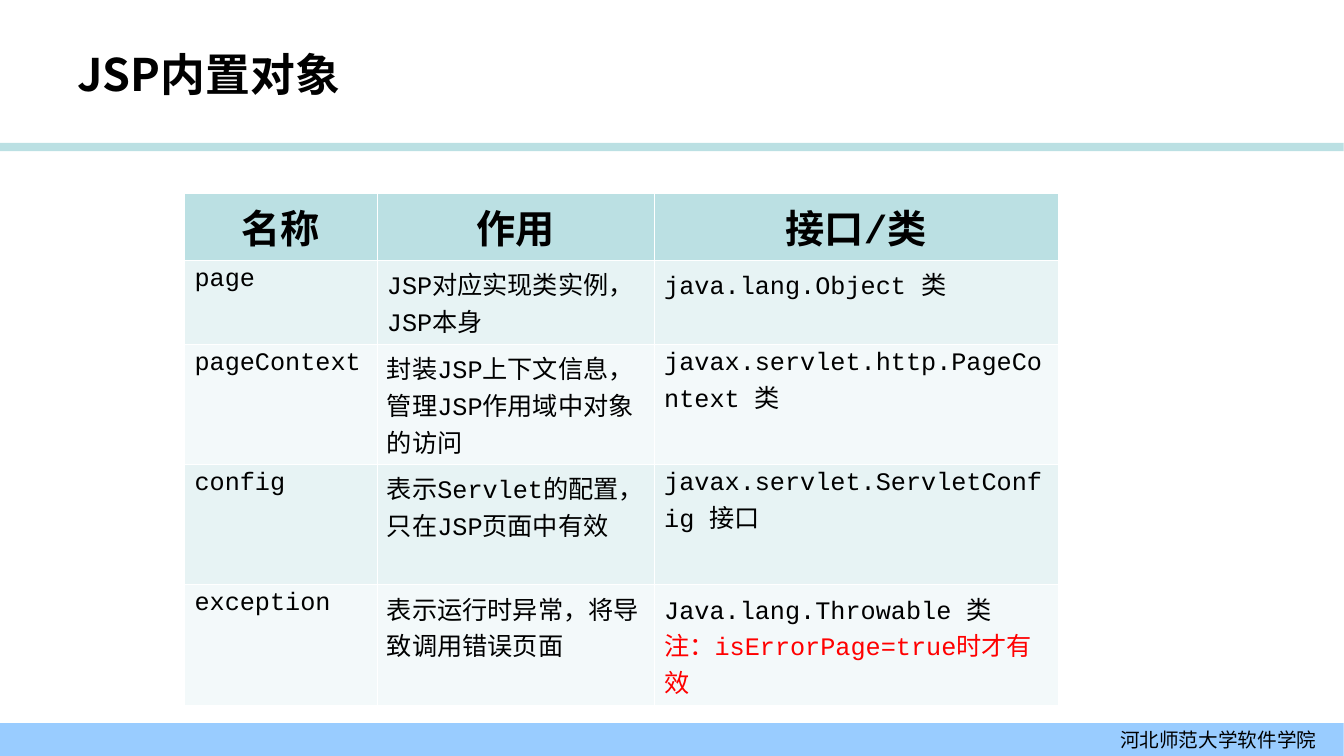
from dataclasses import dataclass

from lxml.etree import SubElement
from pptx import Presentation
from pptx.dml.color import RGBColor
from pptx.enum.shapes import MSO_SHAPE as Shape
from pptx.enum.text import MSO_ANCHOR as Anchor, MSO_AUTO_SIZE as AutoSize, PP_ALIGN as Align
from pptx.oxml.ns import qn
from pptx.util import Cm, Pt

COLORS = {
    "text": "000000", "note": "FF0000", "teal": "BBE0E3", "footer": "99CCFF",
    "band_dark": "E7F3F4", "band_light": "F3F9FA", "border": "FFFFFF",
}
CJK, MONO = "Noto Sans CJK SC", "Courier New"
THIN, THICK = 0.45, 1.47


@dataclass(frozen=True)
class Bar:
    top: float
    height: float
    color: str


@dataclass(frozen=True)
class BuiltIn:
    name: str
    role: str
    kind: str
    height: float
    note: str = ""


RULE = Bar(3.6, 0.21, "teal")
FOOTER = Bar(18.22, 0.83, "footer")
HEADINGS = ("名称", "作用", "接口/类")
HEADING_HEIGHT = 1.55
COLUMN_WIDTHS = (4.85, 6.99, 10.18)
OBJECTS = (
    BuiltIn("page", "JSP对应实现类实例，JSP本身", "java.lang.Object 类", 1.78),
    BuiltIn("pageContext", "封装JSP上下文信息，管理JSP作用域中对象的访问",
            "javax.servlet.http.PageContext 类", 2.54),
    BuiltIn("config", "表示Servlet的配置，只在JSP页面中有效",
            "javax.servlet.ServletConfig 接口", 1.78),
    BuiltIn("exception", "表示运行时异常，将导致调用错误页面", "Java.lang.Throwable 类", 2.54,
            "注：isErrorPage=true时才有效"),
)


def rgb(name: str) -> RGBColor:
    return RGBColor.from_string(COLORS[name])


def write(p, text: str, *, size: float, font: str = MONO, color: str = "text",
          bold: bool = False, align: Align = Align.LEFT) -> None:
    """Add a formatted run; punctuation stays inside the right margin."""
    p.alignment = align
    p._p.get_or_add_pPr().set("hangingPunct", "0")
    r = p.add_run()
    r.text = text
    r.font.size, r.font.bold, r.font.name = Pt(size), bold, font
    r.font.color.rgb = rgb(color)
    SubElement(r.font._element, qn("a:ea"), typeface=CJK)


def add_bar(slide, bar: Bar):
    sp = slide.shapes.add_shape(Shape.RECTANGLE, 0, Cm(bar.top), Cm(33.87), Cm(bar.height))
    sp.shadow.inherit = False
    sp.fill.solid()
    sp.fill.fore_color.rgb = rgb(bar.color)
    sp.line.fill.background()
    return sp


def style_cell(cell, fill: str, top: float, bottom: float) -> None:
    """Draw the white borders, then fill: the schema wants lines before the fill."""
    tc_pr = cell._tc.get_or_add_tcPr()
    for side, width in (("L", THIN), ("R", THIN), ("T", top), ("B", bottom)):
        ln = SubElement(tc_pr, qn(f"a:ln{side}"), w=str(Pt(width)))
        SubElement(SubElement(ln, qn("a:solidFill")), qn("a:srgbClr"), val=COLORS["border"])
    cell.fill.solid()
    cell.fill.fore_color.rgb = rgb(fill)


def add_objects_table(slide) -> None:
    heights = (HEADING_HEIGHT, *(o.height for o in OBJECTS))
    table = slide.shapes.add_table(
        len(heights), len(HEADINGS), Cm(4.65), Cm(4.87),
        Cm(sum(COLUMN_WIDTHS)), Cm(sum(heights))).table
    for column, width in zip(table.columns, COLUMN_WIDTHS):
        column.width = Cm(width)
    for row, height in zip(table.rows, heights):
        row.height = Cm(height)

    for cell, heading in zip(table.rows[0].cells, HEADINGS):
        style_cell(cell, "teal", THIN, THICK)
        write(cell.text_frame.paragraphs[0], heading, size=28, bold=True, align=Align.CENTER)

    for i, obj in enumerate(OBJECTS, start=1):
        cells = table.rows[i].cells
        for cell, text in zip(cells, (obj.name, obj.role, obj.kind)):
            style_cell(cell, "band_dark" if i % 2 else "band_light",
                       THICK if i == 1 else THIN, THIN)
            write(cell.text_frame.paragraphs[0], text, size=18)
        if obj.note:
            write(cells[2].text_frame.add_paragraph(), obj.note, size=18, color="note")


def add_title(slide, text: str) -> None:
    sp = slide.shapes.title
    sp.left, sp.top, sp.width, sp.height = Cm(1.7), Cm(0.76), Cm(27.1), Cm(2.21)
    tf = sp.text_frame
    tf.auto_size, tf.vertical_anchor = AutoSize.NONE, Anchor.MIDDLE
    write(tf.paragraphs[0], text, size=32, font=CJK, bold=True)


def add_footer(slide, text: str) -> None:
    tf = add_bar(slide, FOOTER).text_frame
    tf.vertical_anchor, tf.word_wrap, tf.margin_right = Anchor.MIDDLE, True, Cm(0.68)
    write(tf.paragraphs[0], text, size=14, font=CJK, align=Align.RIGHT)


def main() -> None:
    prs = Presentation()
    prs.slide_width, prs.slide_height = Cm(33.88), Cm(19.05)
    slide = prs.slides.add_slide(prs.slide_layouts[5])
    add_bar(slide, RULE)
    add_footer(slide, "河北师范大学软件学院")
    add_title(slide, "JSP内置对象")
    add_objects_table(slide)
    prs.save("out.pptx")


if __name__ == "__main__":
    main()
